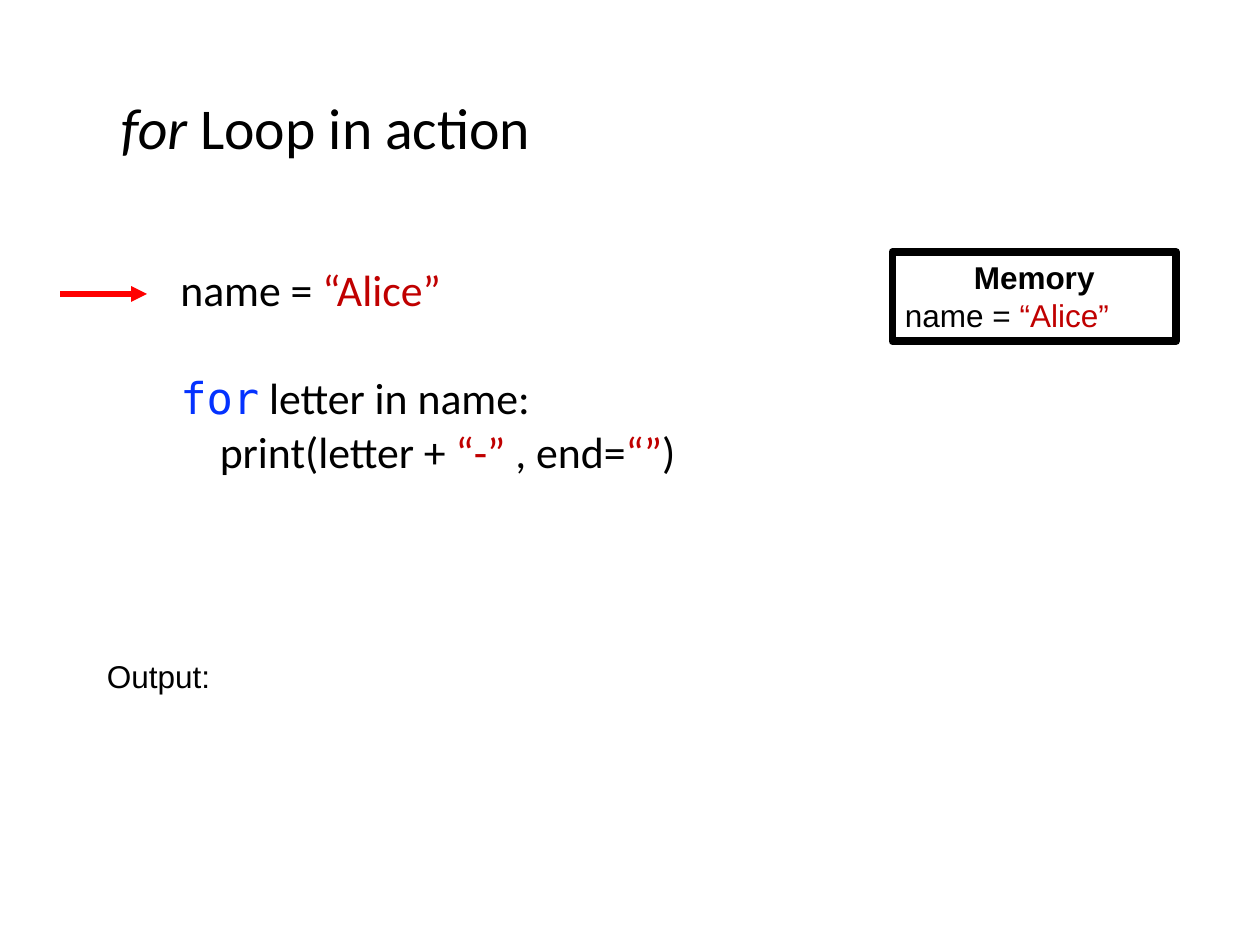
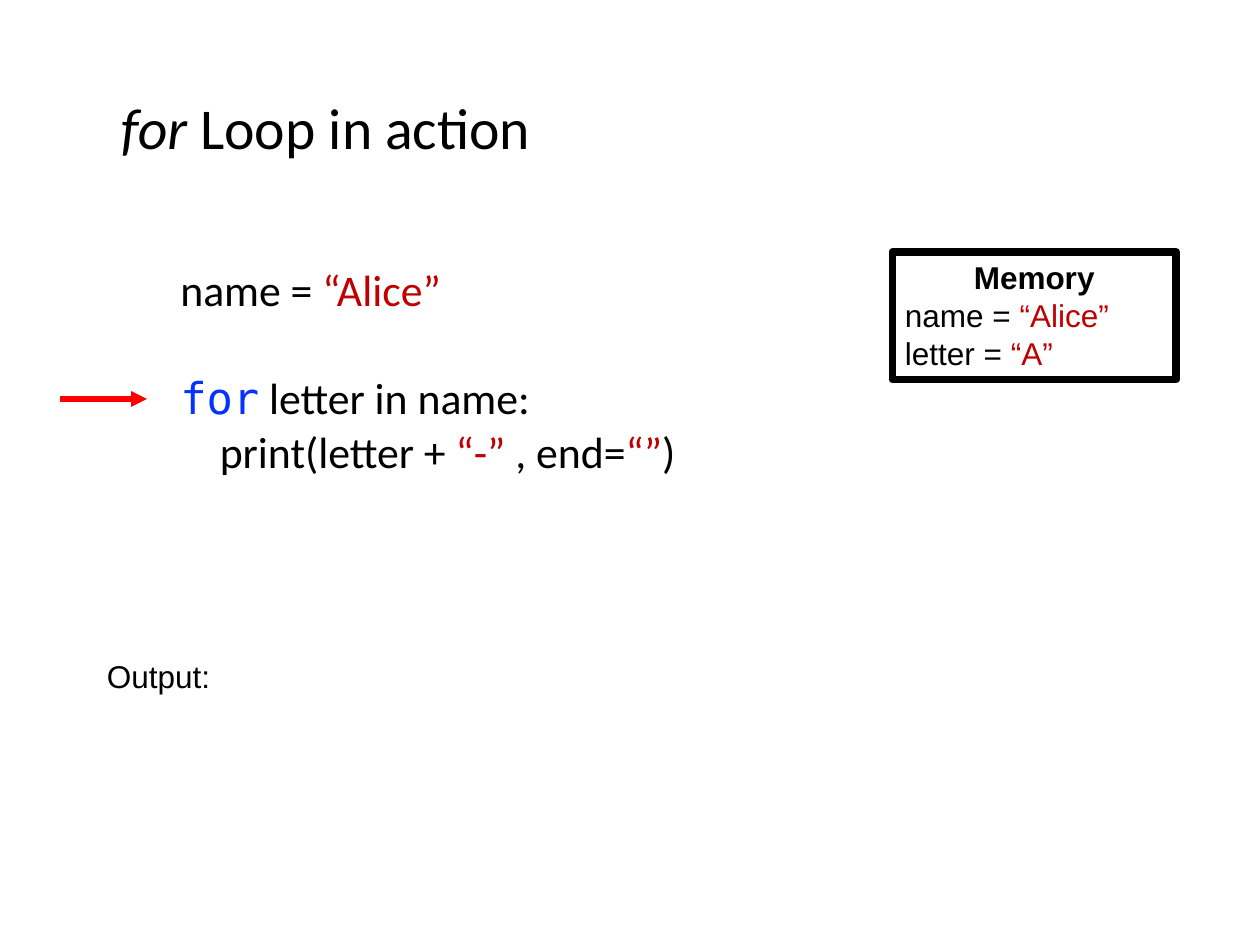
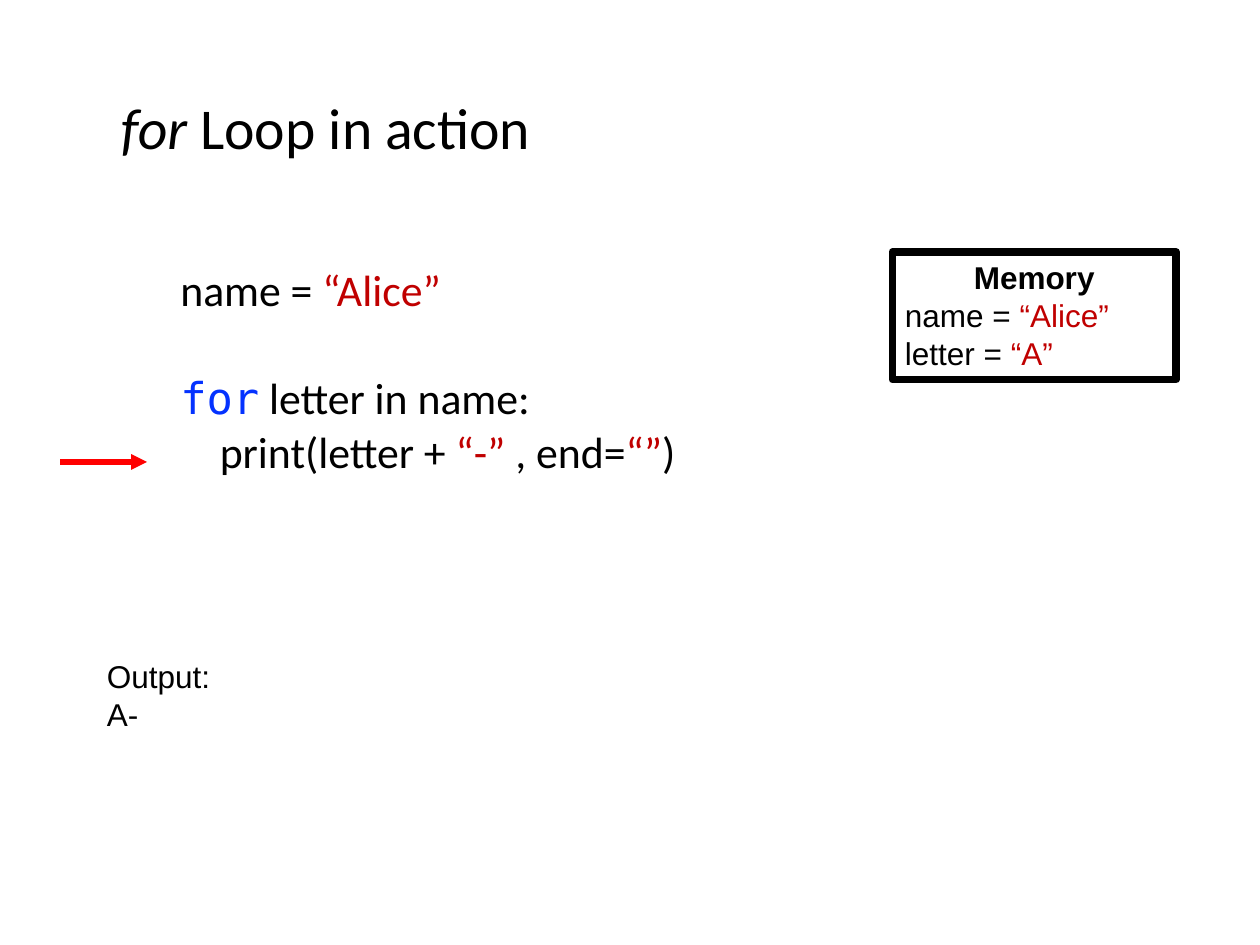
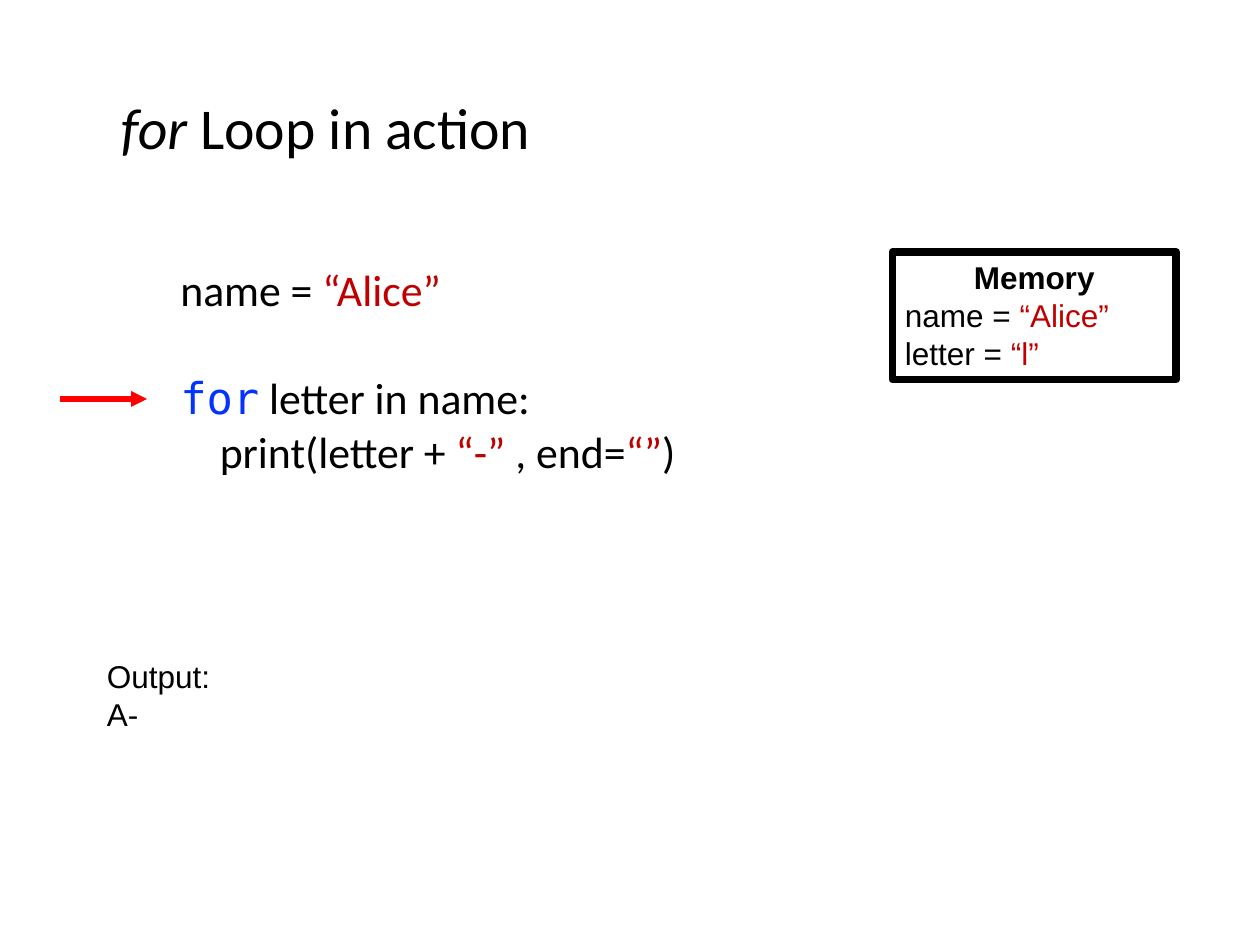
from lxml import etree
from pptx import Presentation
from pptx.dml.color import RGBColor
from pptx.enum.shapes import MSO_CONNECTOR, MSO_SHAPE
from pptx.enum.text import MSO_ANCHOR, MSO_AUTO_SIZE, PP_ALIGN
from pptx.oxml.ns import qn
from pptx.util import Pt

STRAIGHT = MSO_CONNECTOR.STRAIGHT
RECTANGLE = MSO_SHAPE.RECTANGLE
MIDDLE, TOP = MSO_ANCHOR.MIDDLE, MSO_ANCHOR.TOP
GROW = MSO_AUTO_SIZE.SHAPE_TO_FIT_TEXT
CENTER, LEFT = PP_ALIGN.CENTER, PP_ALIGN.LEFT

COLORS = {"text": "000000", "string": "C00000", "keyword": "0432FF", "arrow": "FF0000"}
TITLE_FONT, CODE_FONT, NOTE_FONT = "Calibri", "DejaVu Sans Mono", "Arial"
TITLE_SIZE, CODE_SIZE, NOTE_SIZE = 33, 25, 18
LINE_HEIGHT, INSETS = 21.9, 7.2

CODE_LINES = [
    (3.8, 0, [("name = ", "text"), ("“Alice”", "string")]),
    (35, 0, [("for", "keyword"), (" letter in name:", "text")]),
    (3.8, 22.5, [("print(letter + ", "text"), ("“-”", "string"), (" , end=", "text"),
                 ("“”", "string"), (")", "text")]),
]

STEPS = [
    {"code_width": 354, "arrow_y": 168, "letter": None, "output": ["Output:"]},
    {"code_width": 324, "arrow_y": 228, "letter": "“A”", "output": ["Output:"]},
    {"code_width": 330, "arrow_y": 264, "letter": "“A”", "output": ["Output:", "A-"]},
    {"code_width": 324, "arrow_y": 228, "letter": "“l”", "output": ["Output:", "A-"]},
]


def add_run(paragraph, text, font, size, color="text"):
    run = paragraph.add_run()
    run.text = text
    run.font.name = font
    run.font.size = Pt(size)
    run.font.color.rgb = RGBColor.from_string(COLORS[color])
    return run


def add_text_area(slide, left, top, width, height):
    frame = slide.shapes.add_textbox(Pt(left), Pt(top), Pt(width), Pt(height)).text_frame
    frame.word_wrap = True
    return frame


prs = Presentation()
prs.slide_width, prs.slide_height = Pt(720), Pt(540)
blank = prs.slide_layouts[6]

for step in STEPS:
    slide = prs.slides.add_slide(blank)

    title = add_text_area(slide, 62, 48, 624, 54)
    title.vertical_anchor = MIDDLE
    heading = title.paragraphs[0]
    heading.line_spacing = 0.9
    add_run(heading, "for", TITLE_FONT, TITLE_SIZE).font.italic = True
    add_run(heading, " Loop in action", TITLE_FONT, TITLE_SIZE)

    code = add_text_area(slide, 96, 150, step["code_width"], 330)
    for index, (space, indent, parts) in enumerate(CODE_LINES):
        line = code.add_paragraph() if index else code.paragraphs[0]
        line.line_spacing = 0.9
        line.space_before = Pt(space)
        line._p.get_or_add_pPr().set("marL", str(Pt(indent)))
        for text, color in parts:
            font = CODE_FONT if color == "keyword" else TITLE_FONT
            add_run(line, text, font, CODE_SIZE, color)

    variables = [("name = ", "“Alice”")]
    if step["letter"]:
        variables.append(("letter = ", step["letter"]))
    memory_height = INSETS + LINE_HEIGHT * (len(variables) + 1)
    memory = slide.shapes.add_shape(RECTANGLE, Pt(510), Pt(144), Pt(162), Pt(memory_height))
    memory.shadow.inherit = False
    memory.fill.background()
    memory.line.color.rgb = RGBColor.from_string(COLORS["text"])
    memory.line.width = Pt(4.5)
    cells = memory.text_frame
    cells.word_wrap = True
    cells.auto_size = GROW
    cells.vertical_anchor = TOP
    caption = cells.paragraphs[0]
    caption.alignment = CENTER
    add_run(caption, "Memory", NOTE_FONT, NOTE_SIZE).font.bold = True
    for variable, value in variables:
        entry = cells.add_paragraph()
        entry.alignment = LEFT
        add_run(entry, variable, NOTE_FONT, NOTE_SIZE)
        add_run(entry, value, NOTE_FONT, NOTE_SIZE, "string")

    arrow_y = Pt(step["arrow_y"])
    arrow = slide.shapes.add_connector(STRAIGHT, Pt(34.5), arrow_y, Pt(84), arrow_y)
    arrow.line.color.rgb = RGBColor.from_string(COLORS["arrow"])
    arrow.line.width = Pt(3)
    etree.SubElement(arrow.line._get_or_add_ln(), qn("a:tailEnd"), type="triangle")
    etree.SubElement(arrow._element.spPr, qn("a:effectLst"))

    output_height = INSETS + LINE_HEIGHT * (len(step["output"]) + 1)
    output = add_text_area(slide, 54, 372, 294, output_height)
    output.auto_size = GROW
    for index, text in enumerate(step["output"]):
        line = output.add_paragraph() if index else output.paragraphs[0]
        add_run(line, text, NOTE_FONT, NOTE_SIZE)

prs.save("out.pptx")
